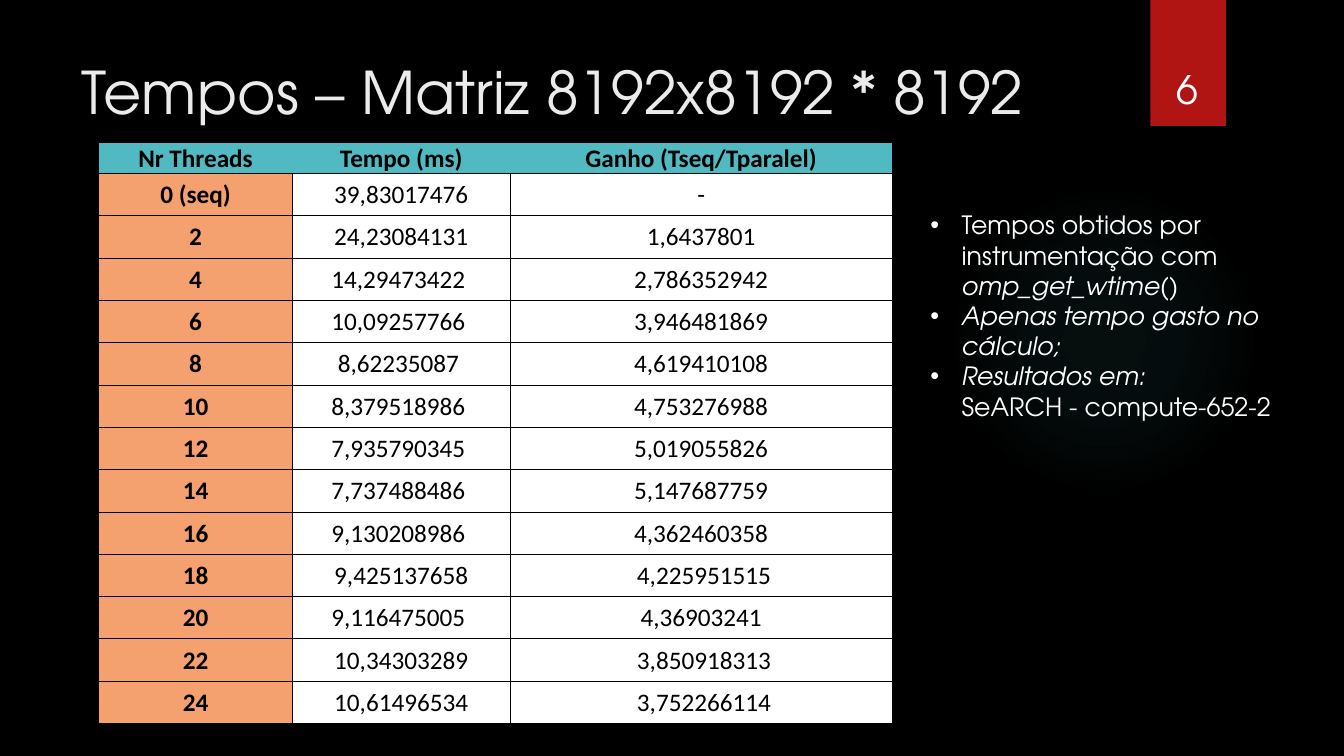
"""Build the slide with matrix multiplication times and speedups per thread count."""
from dataclasses import dataclass

from lxml import etree
from pptx import Presentation
from pptx import util as u
from pptx.dml import color
from pptx.enum import shapes, text
from pptx.oxml import ns, parse_xml

HEADING_FONT = "TeX Gyre Adventor"
TABLE_FONT = "Calibri"
BLACK, WHITE, TEAL, ORANGE, RED = "000000", "FFFFFF", "50B9C1", "F4A16F", "B01513"
COLUMN_WIDTHS = (1.92, 2.16, 3.79)
HEADER_HEIGHT, ROW_HEIGHT = 0.29, 0.42


@dataclass
class Timing:
    threads: str
    time: str
    gain: str


@dataclass
class Run:
    text: str
    italic: bool = False
    break_before: bool = False


HEADER = Timing("Nr Threads", "Tempo (ms)", "Ganho (Tseq/Tparalel)")
TIMINGS = [
    Timing("0 (seq)", "39,83017476", "-"),
    Timing("2", "24,23084131", "1,6437801"),
    Timing("4", "14,29473422 ", "2,786352942"),
    Timing("6", "10,09257766 ", "3,946481869"),
    Timing("8", "8,62235087 ", "4,619410108"),
    Timing("10", "8,379518986 ", "4,753276988"),
    Timing("12", "7,935790345 ", "5,019055826"),
    Timing("14", "7,737488486 ", "5,147687759"),
    Timing("16", "9,130208986 ", "4,362460358"),
    Timing("18", "9,425137658", " 4,225951515"),
    Timing("20", "9,116475005 ", "4,36903241"),
    Timing("22", "10,34303289", " 3,850918313"),
    Timing("24", "10,61496534", " 3,752266114"),
]
NOTES = [
    [Run("Tempos obtidos por instrumentação com "), Run("omp_get_wtime()", italic=True)],
    [Run("Apenas tempo gasto no cálculo;", italic=True)],
    [Run("Resultados em: ", italic=True), Run("SeARCH - compute-652-2", break_before=True)],
]


def rgb(value: str) -> color.RGBColor:
    return color.RGBColor.from_string(value)


def fill_solid(target, value: str) -> None:
    target.fill.solid()
    target.fill.fore_color.rgb = rgb(value)


def add_text(paragraph, words: str, *, size: float, font: str = HEADING_FONT,
             ink: str = WHITE, bold: bool = False, italic: bool = False, align=None) -> None:
    run = paragraph.add_run()
    run.text = words
    run.font.size = u.Pt(size)
    run.font.name = font
    run.font.color.rgb = rgb(ink)
    run.font.bold = bold
    run.font.italic = italic
    if align is not None:
        paragraph.alignment = align


def add_box(slide, left: float, top: float, width: float, height: float,
            anchor=text.MSO_ANCHOR.TOP):
    box = slide.shapes.add_textbox(*map(u.Inches, (left, top, width, height)))
    box.text_frame.word_wrap = True
    box.text_frame.vertical_anchor = anchor
    return box.text_frame


def add_plain_shape(slide, kind, left: float, top: float, width: float, height: float):
    shape = slide.shapes.add_shape(kind, *map(u.Inches, (left, top, width, height)))
    shape.shadow.inherit = False
    shape.line.fill.background()
    fill_solid(shape, RED)
    return shape


def add_glow(slide) -> None:
    glow = add_plain_shape(slide, shapes.MSO_SHAPE.OVAL, 9.41, 1.83, 3.08, 3.08)
    stops = "".join(
        f'<a:gs pos="{position * 1000}"><a:srgbClr val="{TEAL}">'
        f'<a:alpha val="{alpha * 1000}"/></a:srgbClr></a:gs>'
        for position, alpha in ((0, 7), (36, 6), (69, 0)))
    gradient = parse_xml(
        f'<a:gradFill {ns.nsdecls("a")}><a:gsLst>{stops}</a:gsLst><a:path path="circle">'
        '<a:fillToRect l="50000" t="50000" r="50000" b="50000"/></a:path></a:gradFill>')
    properties = glow._element.spPr
    properties.replace(properties.find(ns.qn("a:solidFill")), gradient)


def add_ribbon(slide) -> None:
    ribbon = add_plain_shape(slide, shapes.MSO_SHAPE.RECTANGLE, 11.41, 0, 0.75, 1.25)
    effects = ribbon._element.spPr.find(ns.qn("a:effectLst"))
    effects.append(parse_xml(
        f'<a:outerShdw {ns.nsdecls("a")} blurRad="{u.Pt(3)}" dist="{u.Pt(2)}" dir="5400000">'
        f'<a:srgbClr val="{BLACK}"><a:alpha val="45000"/></a:srgbClr></a:outerShdw>'))


def set_borders(cell, widths: dict[str, float]) -> None:
    properties = cell._tc.get_or_add_tcPr()
    for index, (side, width) in enumerate(widths.items()):
        paint = (f'<a:solidFill><a:srgbClr val="{BLACK}"/></a:solidFill>'
                 if width else "<a:noFill/>")
        properties.insert(index, parse_xml(
            f'<a:ln{side} {ns.nsdecls("a")} w="{u.Pt(width)}">{paint}</a:ln{side}>'))


def add_timing_table(slide) -> None:
    records = [HEADER, *TIMINGS]
    height = HEADER_HEIGHT + ROW_HEIGHT * len(TIMINGS)
    frame = slide.shapes.add_table(
        len(records), len(COLUMN_WIDTHS),
        *map(u.Inches, (0.98, 1.41, sum(COLUMN_WIDTHS), height)))
    table = frame.table
    table.first_row = table.horz_banding = False
    for column, width in zip(table.columns, COLUMN_WIDTHS):
        column.width = u.Inches(width)
    last = len(COLUMN_WIDTHS) - 1
    for row_index, record in enumerate(records):
        is_header = row_index == 0
        table.rows[row_index].height = u.Inches(HEADER_HEIGHT if is_header else ROW_HEIGHT)
        for index, words in enumerate((record.threads, record.time, record.gain)):
            cell = table.cell(row_index, index)
            cell.margin_left = cell.margin_right = cell.margin_top = u.Inches(0.01)
            cell.margin_bottom = 0
            cell.vertical_anchor = text.MSO_ANCHOR.MIDDLE
            fill_solid(cell, TEAL if is_header else ORANGE if index == 0 else WHITE)
            borders = dict.fromkeys("LRTB", 0.5)
            if is_header:
                borders = {"L": float(index == 0), "R": float(index == last), "T": 1, "B": 0.5}
            set_borders(cell, borders)
            add_text(cell.text_frame.paragraphs[0], words, size=18, font=TABLE_FONT, ink=BLACK,
                     bold=is_header or index == 0, align=text.PP_ALIGN.CENTER)


def add_notes(slide) -> None:
    frame = add_box(slide, 9.13, 2.03, 4.03, 2.22)
    for index, runs in enumerate(NOTES):
        paragraph = frame.add_paragraph() if index else frame.paragraphs[0]
        properties = paragraph._p.get_or_add_pPr()
        properties.set("marL", str(u.Inches(0.31)))
        properties.set("indent", str(u.Inches(-0.31)))
        etree.SubElement(properties, ns.qn("a:buFont")).set("typeface", "Arial")
        etree.SubElement(properties, ns.qn("a:buChar")).set("char", "•")
        for run in runs:
            if run.break_before:
                paragraph.add_line_break()
            add_text(paragraph, run.text, size=18, italic=run.italic)


def main() -> None:
    presentation = Presentation()
    presentation.slide_width = u.Inches(13.33)
    presentation.slide_height = u.Inches(7.5)
    slide = presentation.slides.add_slide(presentation.slide_layouts[6])
    fill_solid(slide.background, BLACK)
    add_glow(slide)
    add_ribbon(slide)
    title = add_box(slide, 0.71, 0.5, 10.29, 1.53)
    add_text(title.paragraphs[0], "Tempos – Matriz 8192x8192 * 8192", size=42, ink="EBEBEB")
    number = add_box(slide, 11.32, 0.32, 0.92, 0.84, text.MSO_ANCHOR.BOTTOM)
    add_text(number.paragraphs[0], "6", size=28, align=text.PP_ALIGN.CENTER)
    add_timing_table(slide)
    add_notes(slide)
    presentation.save("out.pptx")


if __name__ == "__main__":
    main()
